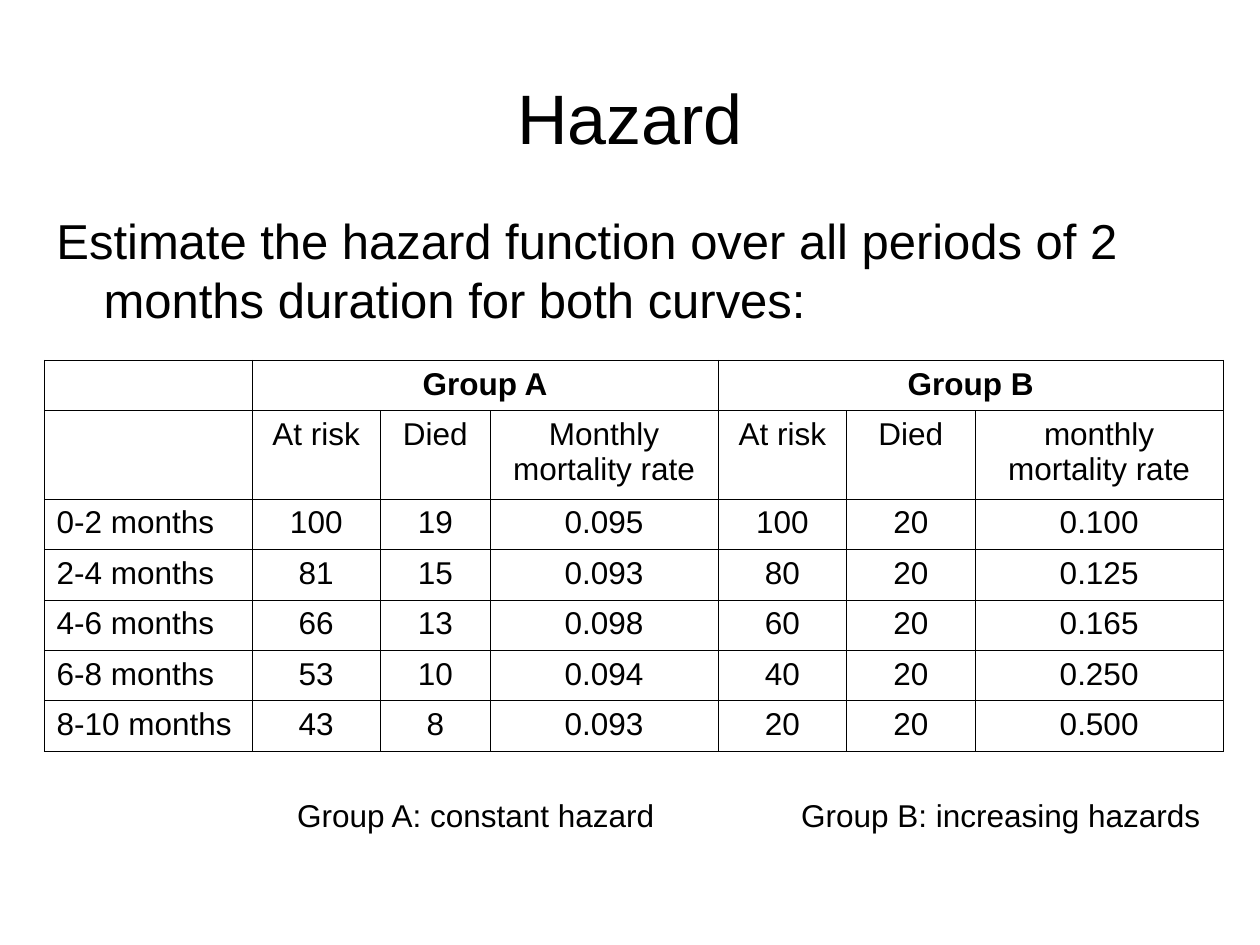
"""Build a slide comparing hazard estimates for two groups."""
import dataclasses

import lxml.etree
import pptx
import pptx.dml.color
import pptx.enum.text
import pptx.oxml.ns
import pptx.presentation
import pptx.slide
import pptx.table
import pptx.text.text
import pptx.util

Pt = pptx.util.Pt
ALIGN = pptx.enum.text.PP_ALIGN
ANCHOR = pptx.enum.text.MSO_ANCHOR
BLACK = pptx.dml.color.RGBColor(0x00, 0x00, 0x00)
FONT = "Arial"
BORDER_WIDTH = Pt(0.45)
COLUMN_WIDTHS = (118.8, 73.44, 62.64, 130.32, 73.44, 73.44, 141.84)
ROW_HEIGHT = 28.8
SUBHEADER_HEIGHT = 50.4
GROUP_COLUMNS = {1: "Group A", 4: "Group B"}
SUBHEADERS = ("", "At risk", "Died", "Monthly mortality rate",
              "At risk", "Died", "monthly mortality rate")


@dataclasses.dataclass(frozen=True)
class TextBlock:
    """Describe a block of text with its box in points."""

    text: str
    left: float
    top: float
    width: float
    height: float
    size: float
    align: ALIGN = ALIGN.LEFT
    anchor: ANCHOR = ANCHOR.TOP
    space_before: float = 0
    hanging: float = 0
    tab_stops: tuple[float, ...] = ()


@dataclasses.dataclass(frozen=True)
class Period:
    """Hold at risk, died and mortality rate for both groups."""

    label: str
    group_a: tuple[str, str, str]
    group_b: tuple[str, str, str]


TEXT_BLOCKS = (
    TextBlock("Hazard", 36, 21.6, 648, 90, 40, ALIGN.CENTER, ANCHOR.MIDDLE),
    TextBlock("Estimate the hazard function over all periods of 2 months duration for both curves:",
              25.2, 116.64, 648, 84.96, 28, space_before=7, hanging=27),
    TextBlock("\tGroup A: constant hazard\tGroup B: increasing hazards",
              18.72, 451.44, 680, 28.8, 18, tab_stops=(144, 432)),
)
PERIODS = (
    Period("0-2 months", ("100", "19", "0.095"), ("100", "20", "0.100")),
    Period("2-4 months", ("81", "15", "0.093"), ("80", "20", "0.125")),
    Period("4-6 months", ("66", "13", "0.098"), ("60", "20", "0.165")),
    Period("6-8 months", ("53", "10", "0.094"), ("40", "20", "0.250")),
    Period("8-10 months", ("43", "8", "0.093"), ("20", "20", "0.500")),
)


def add_child(parent: lxml.etree._Element, tag: str, **attributes: str) -> lxml.etree._Element:
    """Append a drawing element to its parent."""
    return lxml.etree.SubElement(parent, pptx.oxml.ns.qn(tag), attributes)


def format_runs(paragraph: pptx.text.text._Paragraph, size: float, bold: bool = False) -> None:
    """Set the font of every run in a paragraph."""
    for run in paragraph.runs:
        run.font.name = FONT
        run.font.size = Pt(size)
        run.font.bold = bold
        run.font.color.rgb = BLACK


def add_text_block(slide: pptx.slide.Slide, block: TextBlock) -> None:
    """Add a text box with its paragraph layout."""
    shape = slide.shapes.add_textbox(
        Pt(block.left), Pt(block.top), Pt(block.width), Pt(block.height))
    text_frame = shape.text_frame
    text_frame.word_wrap = True
    text_frame.vertical_anchor = block.anchor
    text_frame.text = block.text
    paragraph = text_frame.paragraphs[0]
    paragraph.alignment = block.align
    paragraph.space_before = Pt(block.space_before)
    format_runs(paragraph, block.size)
    properties = paragraph._p.get_or_add_pPr()
    if block.hanging:
        properties.set("marL", str(Pt(block.hanging)))
        properties.set("indent", str(-Pt(block.hanging)))
    if block.tab_stops:
        tab_list = add_child(properties, "a:tabLst")
        for position in block.tab_stops:
            add_child(tab_list, "a:tab", pos=str(Pt(position)), algn="l")


def style_cell(cell: pptx.table._Cell, align: ALIGN, bold: bool) -> None:
    """Give a cell clear fill, thin black borders and its font."""
    paragraph = cell.text_frame.paragraphs[0]
    paragraph.alignment = align
    format_runs(paragraph, 18, bold)
    properties = cell._tc.get_or_add_tcPr()
    for tag in ("a:lnL", "a:lnR", "a:lnT", "a:lnB"):
        line = add_child(properties, tag, w=str(BORDER_WIDTH))
        fill = add_child(line, "a:solidFill")
        add_child(fill, "a:srgbClr", val=str(BLACK))
    cell.fill.background()


def add_hazard_table(slide: pptx.slide.Slide) -> None:
    """Add the table of deaths and mortality rates by period."""
    header = tuple(GROUP_COLUMNS.get(column, "") for column in range(len(COLUMN_WIDTHS)))
    rows = (header, SUBHEADERS, *((p.label, *p.group_a, *p.group_b) for p in PERIODS))
    heights = (ROW_HEIGHT, SUBHEADER_HEIGHT) + (ROW_HEIGHT,) * len(PERIODS)
    table = slide.shapes.add_table(
        len(rows), len(COLUMN_WIDTHS), Pt(25.2), Pt(205.92),
        Pt(sum(COLUMN_WIDTHS)), Pt(sum(heights))).table
    table.first_row = False
    table.horz_banding = False
    for column, width in zip(table.columns, COLUMN_WIDTHS):
        column.width = Pt(width)
    for row_index, (values, height) in enumerate(zip(rows, heights)):
        table.rows[row_index].height = Pt(height)
        for column_index, value in enumerate(values):
            cell = table.cell(row_index, column_index)
            cell.text_frame.text = value
            style_cell(cell, ALIGN.CENTER if column_index else ALIGN.LEFT, row_index == 0)
    for start in GROUP_COLUMNS:
        table.cell(0, start).merge(table.cell(0, start + 2))


def main() -> None:
    """Build and save the presentation."""
    presentation = pptx.Presentation()
    presentation.slide_width = Pt(720)
    presentation.slide_height = Pt(540)
    slide = presentation.slides.add_slide(presentation.slide_layouts[6])
    for block in TEXT_BLOCKS:
        add_text_block(slide, block)
    add_hazard_table(slide)
    presentation.save("out.pptx")


if __name__ == "__main__":
    main()
